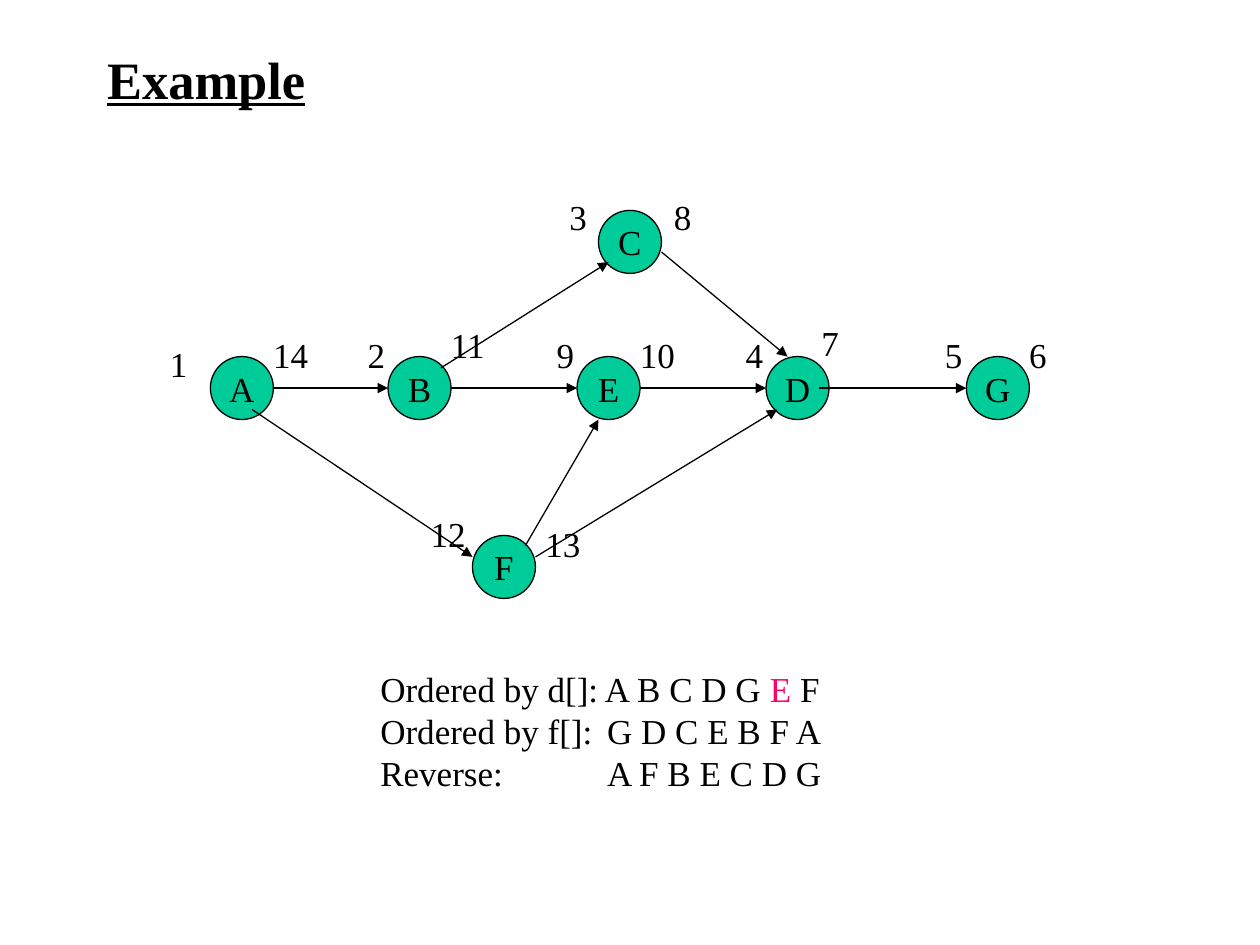
from lxml import etree
from pptx import Presentation
from pptx.dml.color import RGBColor
from pptx.enum.shapes import MSO_CONNECTOR, MSO_SHAPE
from pptx.enum.text import MSO_ANCHOR, MSO_AUTO_SIZE, PP_ALIGN
from pptx.oxml.ns import qn
from pptx.util import Inches, Pt

STRAIGHT = MSO_CONNECTOR.STRAIGHT
OVAL = MSO_SHAPE.OVAL
MIDDLE = MSO_ANCHOR.MIDDLE
NO_FIT, GROW = MSO_AUTO_SIZE.NONE, MSO_AUTO_SIZE.SHAPE_TO_FIT_TEXT
LEFT, CENTER = PP_ALIGN.LEFT, PP_ALIGN.CENTER

BLACK = RGBColor(0x00, 0x00, 0x00)
GREEN = RGBColor(0x00, 0xCC, 0x99)
PINK = RGBColor(0xFF, 0x00, 0x66)
FONT = "Times New Roman"
NODE_SIZE = 0.5
ROW = 2.83
AXIS = ROW + NODE_SIZE / 2
LABEL_ROW = 2.6
ORDER_TAB = 1.8

NODES = [
    ("A", 1.67, ROW), ("B", 3.08, ROW), ("E", 4.58, ROW), ("D", 6.08, ROW),
    ("G", 7.67, ROW), ("F", 3.75, 4.25), ("C", 4.75, 1.67),
]
EDGES = [
    ((2.17, AXIS), (3.08, AXIS)),
    ((3.5, 2.92), (4.83, 2.08)),
    ((5.25, 2), (6.25, 2.83)),
    ((6.5, AXIS), (7.67, AXIS)),
    ((3.58, AXIS), (4.58, AXIS)),
    ((5.08, AXIS), (6.08, AXIS)),
    ((2, 3.25), (3.75, 4.42)),
    ((4.17, 4.33), (4.75, 3.33)),
    ((4.25, 4.42), (6.17, 3.25)),
]
TIME_POSITIONS = [
    (1.25, 2.67), (2.82, LABEL_ROW), (4.42, 1.5), (5.82, LABEL_ROW),
    (7.4, LABEL_ROW), (8.07, LABEL_ROW), (6.42, 2.5), (5.25, 1.5),
    (4.32, LABEL_ROW), (4.98, LABEL_ROW), (3.48, 2.52), (3.32, 4.02),
    (4.23, 4.1), (2.07, LABEL_ROW),
]
ORDERS = [
    ["Ordered by d[]: A B C D G ", "E", " F"],
    ["Ordered by f[]:\tG D C E B F A"],
    ["Reverse:\tA F B E C D G"],
]


def format_span(span, size=20, color=BLACK):
    span.font.name = FONT
    span.font.size = Pt(size)
    span.font.color.rgb = color


def add_title(page, text):
    title = page.shapes.title
    title.left, title.top = Inches(0.75), Inches(0.33)
    title.width, title.height = Inches(6.75), Inches(0.58)
    frame = title.text_frame
    frame.text = text
    frame.auto_size = NO_FIT
    frame.vertical_anchor = MIDDLE
    para = frame.paragraphs[0]
    para.alignment = LEFT
    span = para.runs[0]
    format_span(span, 30)
    span.font.bold = True
    span.font.underline = True


def add_node(page, name, left, top):
    node = page.shapes.add_shape(
        OVAL, Inches(left), Inches(top), Inches(NODE_SIZE), Inches(NODE_SIZE))
    node.shadow.inherit = False
    node.fill.solid()
    node.fill.fore_color.rgb = GREEN
    node.line.color.rgb = BLACK
    node.line.width = Pt(0.75)
    frame = node.text_frame
    frame.text = name
    frame.word_wrap = False
    frame.vertical_anchor = MIDDLE
    para = frame.paragraphs[0]
    para.alignment = CENTER
    format_span(para.runs[0])


def add_arrow(page, start, end):
    points = [Inches(value) for value in (*start, *end)]
    arrow = page.shapes.add_connector(STRAIGHT, *points)
    arrow.line.color.rgb = BLACK
    arrow.line.width = Pt(0.75)
    properties = arrow.element.spPr
    etree.SubElement(properties.find(qn("a:ln")), qn("a:tailEnd"), type="triangle")
    etree.SubElement(properties, qn("a:effectLst"))


def add_text_box(page, left, top, width, height):
    box = page.shapes.add_textbox(
        Inches(left), Inches(top), Inches(width), Inches(height))
    frame = box.text_frame
    frame.word_wrap = False
    frame.auto_size = GROW
    return frame


def add_time(page, text, left, top):
    frame = add_text_box(page, left, top, 0.2 + 0.14 * len(text), 0.44)
    frame.text = text
    format_span(frame.paragraphs[0].runs[0])


def add_tab_stop(para, position):
    stops = etree.SubElement(para._p.get_or_add_pPr(), qn("a:tabLst"))
    etree.SubElement(stops, qn("a:tab"), pos=str(Inches(position)), algn="l")


def add_orders(page):
    frame = add_text_box(page, 2.92, 5.25, 3.74, 1.1)
    for index, parts in enumerate(ORDERS):
        para = frame.add_paragraph() if index else frame.paragraphs[0]
        add_tab_stop(para, ORDER_TAB)
        for part in parts:
            span = para.add_run()
            span.text = part
            format_span(span, color=PINK if part == "E" else BLACK)


def main():
    deck = Presentation()
    deck.slide_width, deck.slide_height = Inches(10), Inches(7.5)
    page = deck.slides.add_slide(deck.slide_layouts[5])
    add_title(page, "Example")
    for name, left, top in NODES:
        add_node(page, name, left, top)
    for start, end in EDGES:
        add_arrow(page, start, end)
    for time, (left, top) in enumerate(TIME_POSITIONS, start=1):
        add_time(page, str(time), left, top)
    add_orders(page)
    deck.save("out.pptx")


if __name__ == "__main__":
    main()
